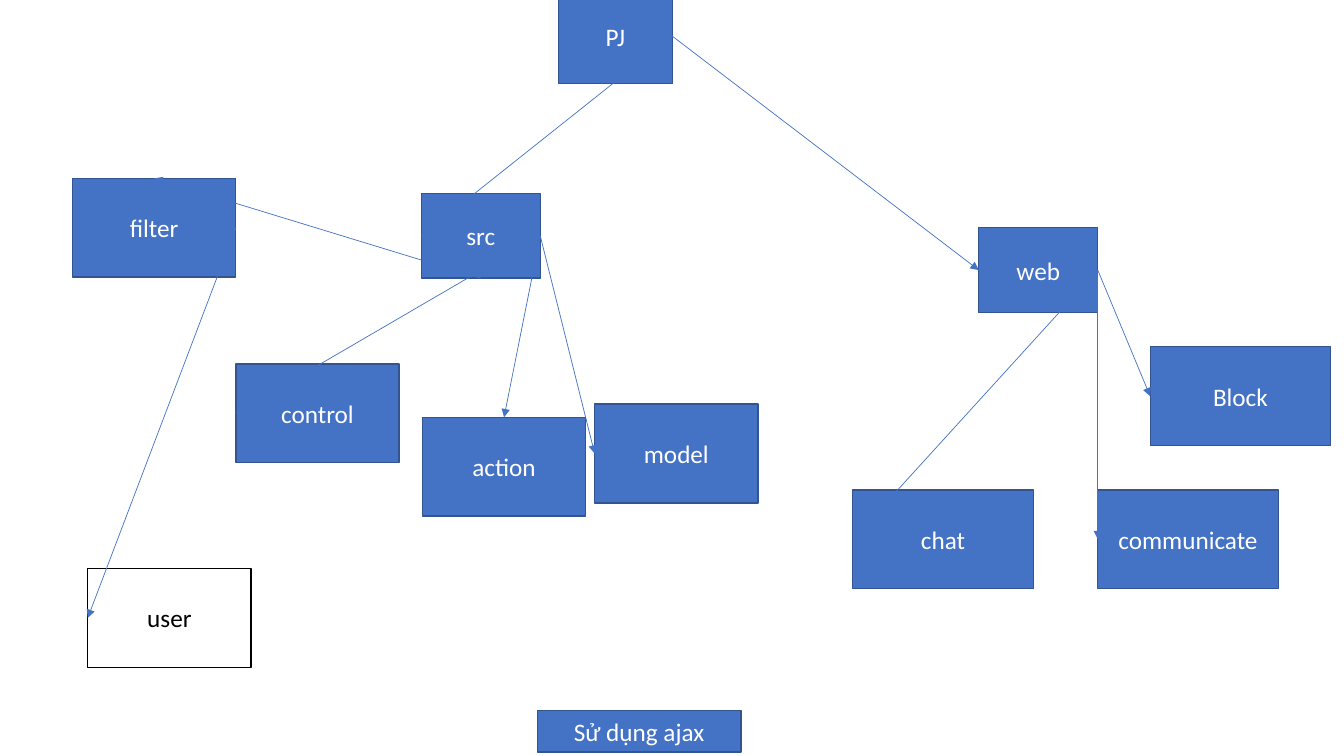
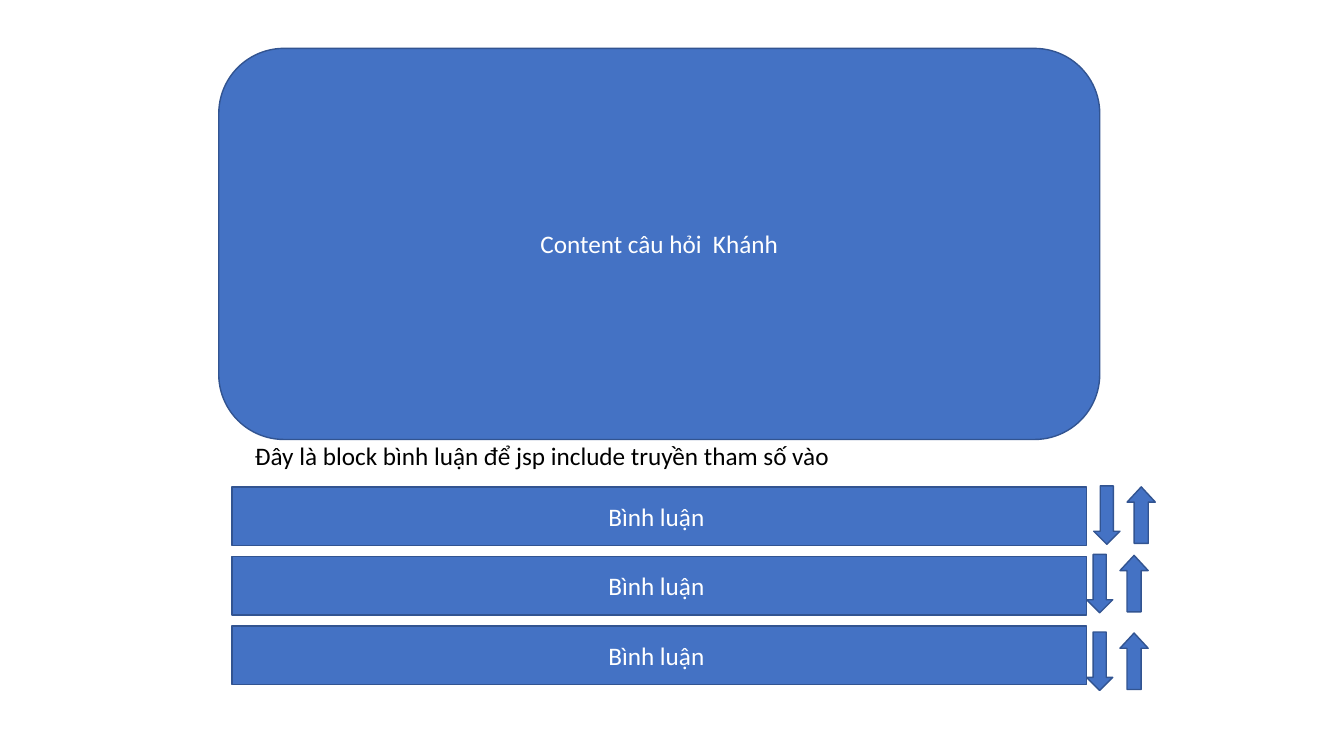
from lxml.etree import SubElement
from pptx import Presentation
from pptx.dml.color import RGBColor as Rgb
from pptx.enum.dml import MSO_LINE
from pptx.enum.shapes import MSO_CONNECTOR as Link, MSO_SHAPE as Form
from pptx.enum.text import MSO_ANCHOR as Anchor, MSO_AUTO_SIZE as Fit, PP_ALIGN as Align
from pptx.oxml.ns import qn
from pptx.util import Inches, Pt

HUE = {"blue": "4472C4", "edge": "325491", "white": "FFFFFF", "black": "000000"}
FONT = "Calibri"
TOP, LEFT, BOTTOM, RIGHT = 0, 1, 2, 3

deck = Presentation()
deck.slide_width, deck.slide_height = Inches(13.33), Inches(7.5)
COL, ROW = deck.slide_width / 100, deck.slide_height / 100
blank = deck.slide_layouts[6]


def hue(name):
    return Rgb.from_string(HUE[name])


def put(slide, text, x, y, wide, high, form=Form.RECTANGLE, fill="blue",
        edge="edge", ink="white", align=Align.CENTER, anchor=Anchor.MIDDLE):
    """Place text at grid columns and rows, in a shape or, if form is None, a text box."""
    spot = [int(n) for n in (x * COL, y * ROW, wide * COL, high * ROW)]
    if form is None:
        item = slide.shapes.add_textbox(*spot)
    else:
        item = slide.shapes.add_shape(form, *spot)
        item.shadow.inherit = False
        item.fill.solid()
        item.fill.fore_color.rgb = hue(fill)
        item.line.color.rgb = hue(edge)
        item.line.width = Pt(1)
    if text:
        frame = item.text_frame
        frame.word_wrap = True
        frame.vertical_anchor = anchor
        para = frame.paragraphs[0]
        para.alignment = align
        run = para.add_run()
        run.text = text
        run.font.name, run.font.size = FONT, Pt(18)
        run.font.color.rgb = hue(ink)
    return item


# Slide 1: project tree
tree = deck.slides.add_slide(blank)
ROOT, MID, LEAF, WIDE = (8.48, 12.53), (8.85, 11.2), (12.15, 13.07), (13.43, 13.07)
nodes = [
    ("PJ", 41.55, -1.47, ROOT),
    ("model", 44.25, 53.47, LEAF),
    ("action", 31.43, 55.2, LEAF),
    ("control", 17.55, 48.13, LEAF),
    ("communicate", 81.68, 64.8, WIDE),
    ("chat", 63.45, 64.8, WIDE),
    ("src", 31.35, 25.6, MID),
    ("web", 72.83, 30.13, MID),
    ("Block", 85.58, 45.87, WIDE),
    ("filter", 5.4, 23.6, LEAF),
]
box = {name: put(tree, name, x, y, *size) for name, x, y, size in nodes}
box["user"] = put(tree, "user", 6.53, 75.2, *LEAF, fill="white", edge="black", ink="black")
put(tree, "Sử dụng ajax", 39.98, 94, 15.15, 5.47)

links = [
    ("PJ", RIGHT, "src", LEFT),
    ("src", RIGHT, "action", TOP),
    ("src", RIGHT, "model", LEFT),
    ("src", RIGHT, "control", LEFT),
    ("PJ", RIGHT, "web", LEFT),
    ("web", RIGHT, "communicate", LEFT),
    ("web", RIGHT, "chat", LEFT),
    ("web", RIGHT, "Block", LEFT),
    ("src", BOTTOM, "filter", TOP),
    ("filter", RIGHT, "user", LEFT),
]
for start, side, end, port in links:
    line = tree.shapes.add_connector(Link.STRAIGHT, 0, 0, 0, 0)
    line.begin_connect(box[start], side)
    line.end_connect(box[end], port)
    line.line.color.rgb = hue("blue")
    line.line.width = Pt(0.5)
    line.line.dash_style = MSO_LINE.SOLID
    SubElement(line.line._get_or_add_ln(), qn("a:tailEnd"), type="triangle")
    SubElement(line._element.spPr, qn("a:effectLst"))

# Slide 2: question with comments
page = deck.slides.add_slide(blank)
put(page, "Content câu hỏi  Khánh", 16.28, 6.4, 65.55, 51.73, form=Form.ROUNDED_RECTANGLE)
for row in range(3):
    put(page, "Bình luận ", 17.25, 64.4 + row * 9.2, 63.6, 7.73)
note = put(page, "Đây là block bình luận để jsp include truyền tham số vào",
           18.23, 57.6, 63.6, 5.33, form=None, ink="black", align=Align.LEFT, anchor=Anchor.TOP)
note.text_frame.auto_size = Fit.SHAPE_TO_FIT_TEXT

for x, y in [(81.38, 64.27), (80.85, 73.33), (80.85, 83.6)]:
    put(page, "", x, y, 1.95, 7.73, form=Form.DOWN_ARROW)
    rise = put(page, "", x + 2.48, y + 0.13, 2.1, 7.47, form=Form.DOWN_ARROW)
    rise.rotation = 180
    rise.adjustments[1] = 0.54

deck.save("out.pptx")
